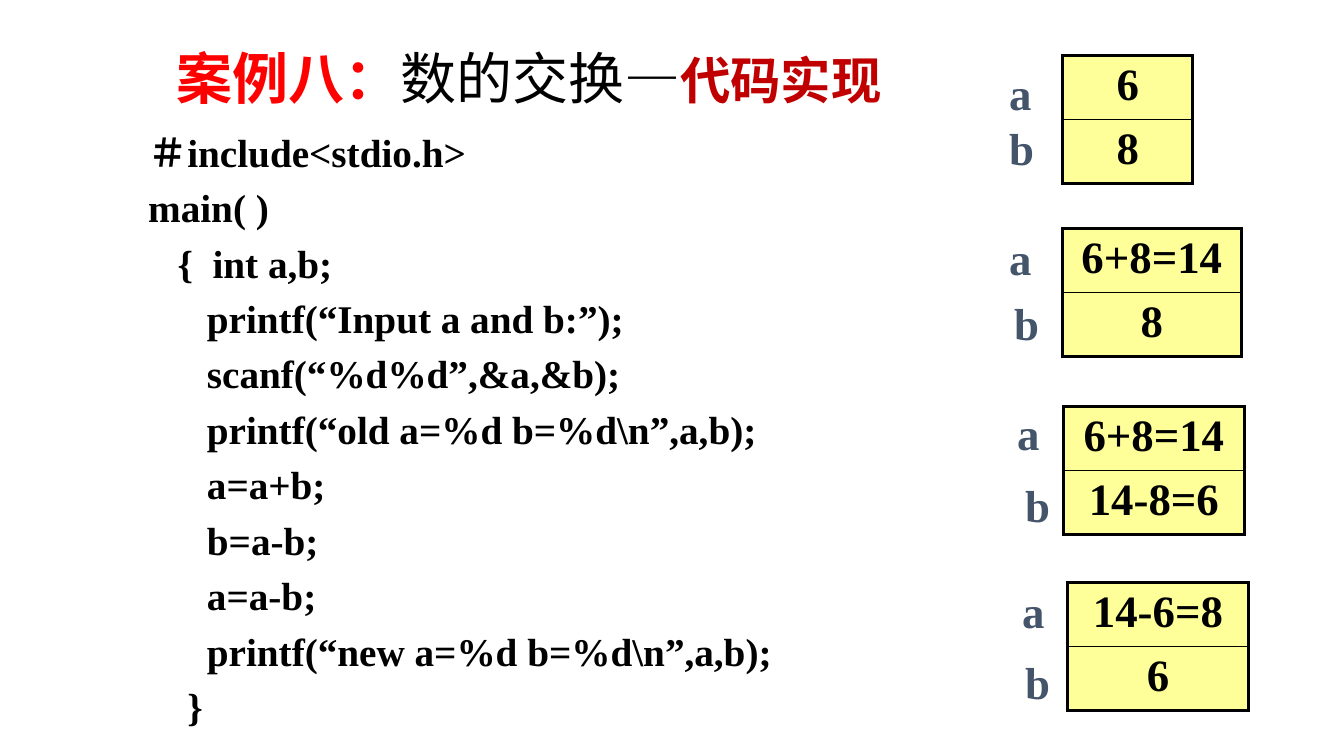
from lxml.etree import SubElement
from pptx import Presentation
from pptx.dml.color import RGBColor
from pptx.enum.text import MSO_ANCHOR as ANCHOR, MSO_AUTO_SIZE as FIT, PP_ALIGN as ALIGN
from pptx.oxml.ns import qn
from pptx.util import Inches, Pt

COLORS = {"red": "FF0000", "dark_red": "C00000", "black": "000000",
          "slate": "44546A", "yellow": "FFFF99"}
SERIF = "Times New Roman"
ROW_H = 0.635

TITLE = [("案例八：", 40, "red", True), ("数的交换—", 40, "black", False),
         ("代码实现", 36, "dark_red", True)]

CODE = r"""＃include<stdio.h>
main( )
   {  int a,b;
      printf(“Input a and b:”);
      scanf(“%d%d”,&a,&b);
      printf(“old a=%d b=%d\n”,a,b);
      a=a+b;
      b=a-b;
      a=a-b;
      printf(“new a=%d b=%d\n”,a,b);
    }"""

# Memory states: table box (left, top, width), values, label corners
STATES = [
    ((10.54, 0.55, 1.29), ("6", "8"), ((9.91, 0.55), (9.91, 1.1))),
    ((10.54, 2.27, 1.77), ("6+8=14", "8"), ((9.91, 2.19), (9.96, 2.83))),
    ((10.55, 4.03, 1.79), ("6+8=14", "14-8=6"), ((9.99, 3.93), (10.07, 4.64))),
    ((10.59, 5.78, 1.79), ("14-6=8", "6"), ((10.04, 5.69), (10.07, 6.4))),
]


def rgb(name):
    return RGBColor.from_string(COLORS[name])


def add_run(p, text, size=32, color="black", bold=True, font=SERIF):
    r = p.add_run()
    r.text = text
    r.font.size, r.font.bold, r.font.name = Pt(size), bold, font
    r.font.color.rgb = rgb(color)


def place(sp, left, top, width, height):
    sp.left, sp.top = Inches(left), Inches(top)
    sp.width, sp.height = Inches(width), Inches(height)


def add_title(slide, box):
    sp = slide.shapes.title
    place(sp, *box)
    tf = sp.text_frame
    tf.auto_size, tf.vertical_anchor = FIT.NONE, ANCHOR.MIDDLE
    p = tf.paragraphs[0]
    p.alignment = ALIGN.LEFT
    for text, size, color, bold in TITLE:
        add_run(p, text, size, color, bold, font="Arial")


def add_code(slide, box):
    sp = slide.placeholders[1]
    place(sp, *box)
    tf = sp.text_frame
    tf.auto_size, tf.vertical_anchor = FIT.NONE, ANCHOR.TOP
    for i, line in enumerate(CODE.split("\n")):
        p = tf.add_paragraph() if i else tf.paragraphs[0]
        pPr = p._p.get_or_add_pPr()
        pPr.set("marL", "0")
        pPr.set("indent", "0")
        SubElement(pPr, qn("a:buNone"))
        p.line_spacing = Pt(33.6)
        p.space_before = Pt(6 if i else 0)
        add_run(p, line, 28)


def add_label(slide, text, left, top):
    sp = slide.shapes.add_textbox(Inches(left), Inches(top), Inches(0.32), Inches(0.63))
    tf = sp.text_frame
    tf.word_wrap = False
    tf.margin_top, tf.margin_right = Inches(0.1), 0
    add_run(tf.paragraphs[0], text, color="slate")


def set_border(cell, side, width):
    ln = SubElement(cell._tc.get_or_add_tcPr(), qn(f"a:ln{side}"), w=str(Pt(width)))
    fill = SubElement(ln, qn("a:solidFill"))
    SubElement(fill, qn("a:srgbClr"), val=COLORS["black"])


def add_state(slide, box, values, labels):
    # Variable names
    for name, corner in zip("ab", labels):
        add_label(slide, name, *corner)
    # Memory cells
    left, top, width = box
    table = slide.shapes.add_table(2, 1, Inches(left), Inches(top), Inches(width),
                                   Inches(2 * ROW_H)).table
    table.first_row = table.horz_banding = False
    for i, value in enumerate(values):
        cell = table.cell(i, 0)
        p = cell.text_frame.paragraphs[0]
        p.alignment = ALIGN.CENTER
        add_run(p, value)
        for side in "LRTB":
            inner = side == "TB"[1 - i]
            set_border(cell, side, 1 if inner else 2.25)
        cell.fill.solid()
        cell.fill.fore_color.rgb = rgb("yellow")


def main():
    prs = Presentation()
    prs.slide_width, prs.slide_height = Inches(13.33), Inches(7.5)
    slide = prs.slides.add_slide(prs.slide_layouts[1])
    add_title(slide, (1.65, 0.38, 9.57, 0.77))
    add_code(slide, (1.37, 1.22, 9.37, 6.13))
    for box, values, labels in STATES:
        add_state(slide, box, values, labels)
    prs.save("out.pptx")


if __name__ == "__main__":
    main()
